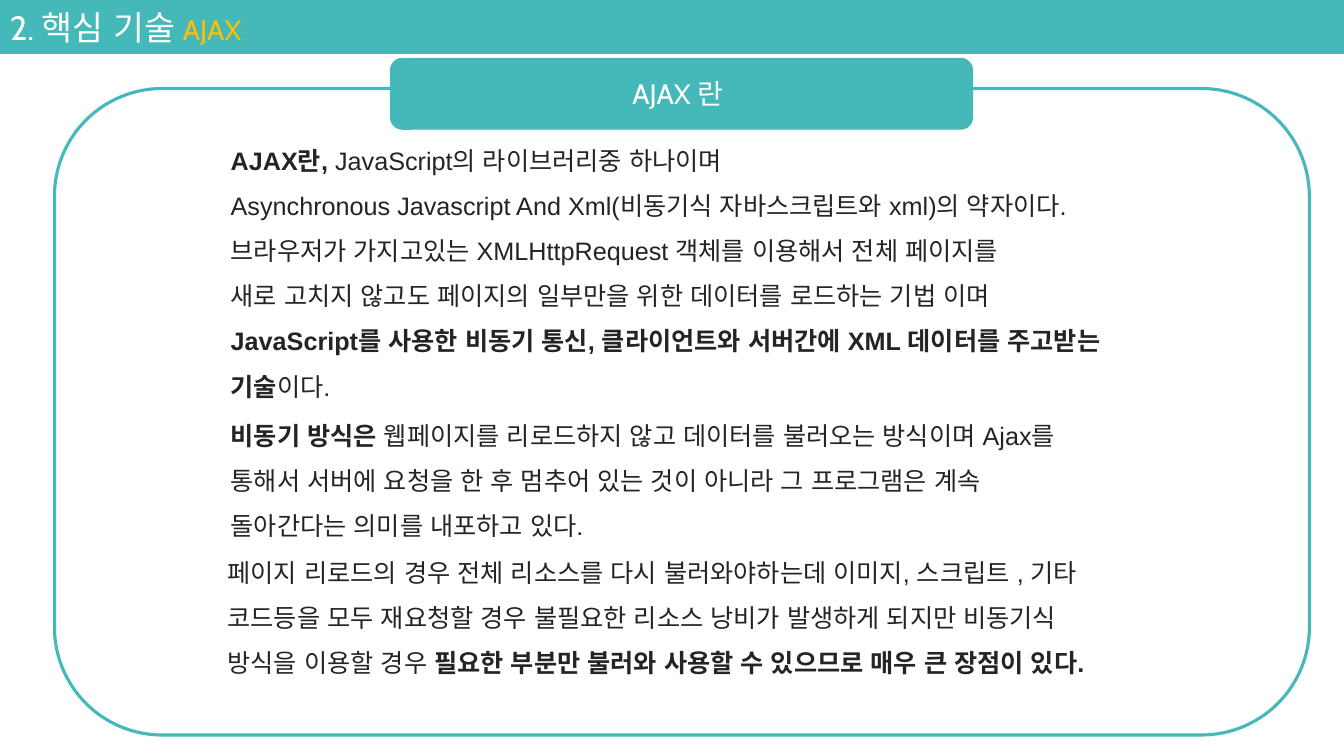
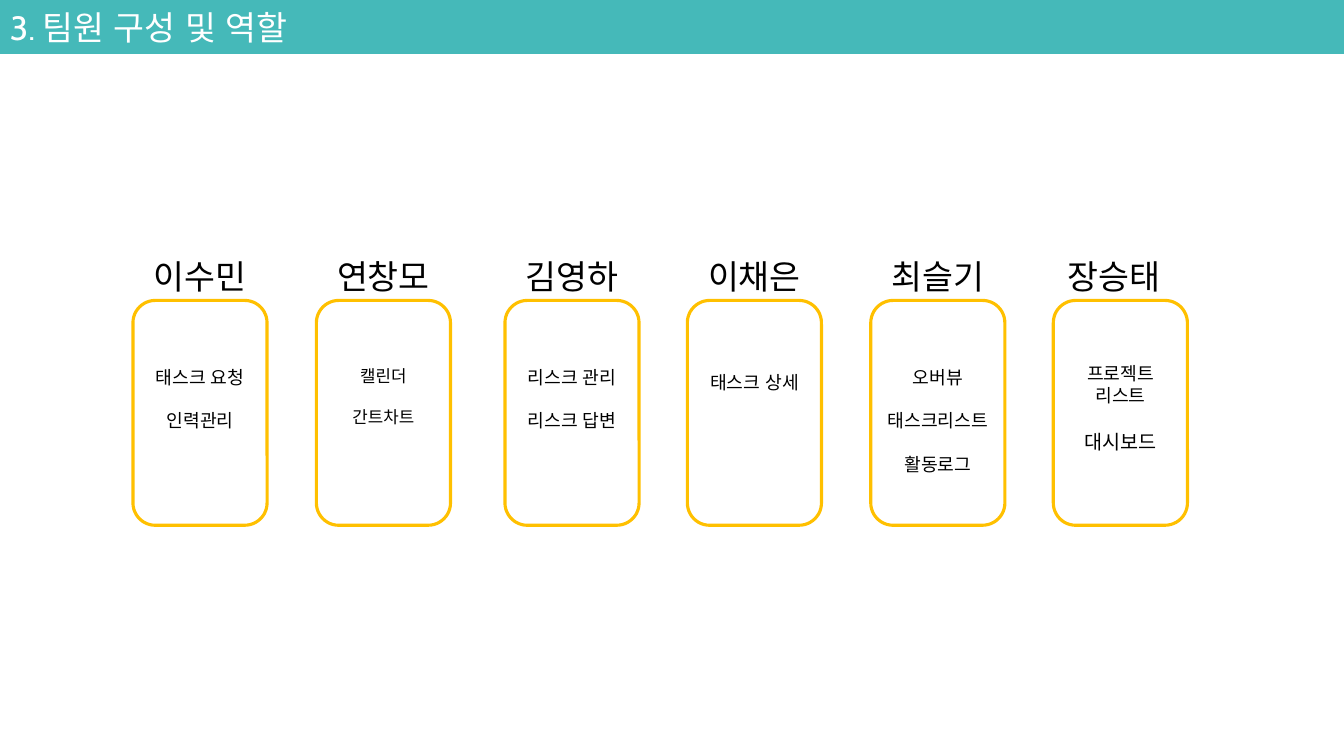
from pptx import Presentation
from pptx.dml.color import RGBColor
from pptx.enum.lang import MSO_LANGUAGE_ID as LANG
from pptx.enum.shapes import MSO_SHAPE as SHAPE
from pptx.enum.text import MSO_ANCHOR as ANCHOR, PP_ALIGN as ALIGN
from pptx.oxml.ns import qn
from pptx.util import Pt
from lxml.etree import SubElement

TEAL = RGBColor(0x45, 0xB9, 0xB9)
AMBER = RGBColor(0xFF, 0xC0, 0x00)
INK = RGBColor(0x22, 0x24, 0x26)
BLACK = RGBColor(0, 0, 0)
WHITE = RGBColor(0xFF, 0xFF, 0xFF)
LATIN, BODY, HANGUL = "Cabin", "Arial", "Noto Sans CJK KR"

AJAX_TITLE = [("2. 핵심 기술", 24, LATIN, WHITE), (" AJAX", 20, LATIN, AMBER)]
TEAM_TITLE = [("3. ", 24, LATIN, WHITE), ("팀원 구성 및 역할", 24, HANGUL, WHITE)]
AJAX_HEADING = "AJAX 란 "
AJAX_BLOCKS = [
    ((157.7, 89.3, 649.4, 200), [
        [("AJAX란, ", True), ("JavaScript의 라이브러리중 하나이며", False)],
        [("Asynchronous Javascript And Xml(비동기식 자바스크립트와 xml)의 약자이다.", False)],
        [("브라우저가 가지고있는 XMLHttpRequest 객체를 이용해서 전체 페이지를", False)],
        [("새로 고치지 않고도 페이지의 일부만을 위한 데이터를 로드하는 기법 이며", False)],
        [("JavaScript를 사용한 비동기 통신, 클라이언트와 서버간에 XML 데이터를 주고받는 기술", True),
         ("이다.", False)],
    ]),
    ((157.7, 285.8, 622, 101.5), [
        [("비동기 방식은 ", True),
         ("웹페이지를 리로드하지 않고 데이터를 불러오는 방식이며 Ajax를 통해서 서버에 요청을 한 후 "
          "멈추어 있는 것이 아니라 그 프로그램은 계속 돌아간다는 의미를 내포하고 있다.", False)],
    ]),
    ((155.5, 383.8, 649.4, 134.6), [
        [("페이지 리로드의 경우 전체 리소스를 다시 불러와야하는데 이미지, 스크립트 , 기타 코드등을 모두 "
          "재요청할 경우 불필요한 리소스 낭비가 발생하게 되지만 비동기식 방식을 이용할 경우 ", False),
         ("필요한 부분만 불러와 사용할 수 있으므로 매우 큰 장점이 있다.", True)],
    ]),
]
TEAM = [
    ("이수민", 95, 4.3, 257.8, [("태스크 요청", 13), ("인력관리", 13)]),
    ("연창모", 226, 4.3, 257.8, [("캘린더", 12), ("간트차트", 12)]),
    ("김영하", 360.7, 4.3, 257.8, [("리스크 관리", 13), ("리스크 답변", 13)]),
    ("이채은", 491, 4.3, 262, [("태스크 상세", 13)]),
    ("최슬기", 622, 4.3, 257.8, [("오버뷰", 13), ("태스크리스트", 13), ("활동로그", 13)]),
    ("장승태", 752.4, 0, 255.6, [("프로젝트 리스트", 13), ("대시보드", 14)]),
]
CARD_TOP, CARD_W, CARD_H = 214.6, 95.8, 160.6
LABEL_W, LABEL_INSET = 87.1, 4.3


def add_box(s, kind, box, fill, line, weight):
    sp = s.shapes.add_shape(kind, *map(Pt, box))
    sp.shadow.inherit = False
    if fill is None:
        sp.fill.background()
    else:
        sp.fill.solid()
        sp.fill.fore_color.rgb = fill
    sp.line.color.rgb = line
    sp.line.width = Pt(weight)
    return sp


def write(p, runs, spacing, align=ALIGN.LEFT):
    p.alignment = align
    p.line_spacing = Pt(spacing)
    for text, size, font, color, *bold in runs:
        r = p.add_run()
        r.text = text
        r.font.size = Pt(size)
        r.font.bold = any(bold)
        r.font.color.rgb = color
        r.font.language_id = LANG.KOREAN
        r.font.name = font
        SubElement(r.font._element, qn("a:ea"), typeface=HANGUL)


def add_text(s, box):
    tf = s.shapes.add_textbox(*map(Pt, box)).text_frame
    tf.word_wrap = True
    return tf


def next_paragraph(tf, index):
    return tf.add_paragraph() if index else tf.paragraphs[0]


def add_titled_slide(prs, title):
    s = prs.slides.add_slide(prs.slide_layouts[6])
    add_box(s, SHAPE.RECTANGLE, (0, 0, 960, 38.2), TEAL, TEAL, 1)
    write(add_text(s, (0, 0, 280, 36)).paragraphs[0], title, 30)
    return s


def add_ajax_slide(prs):
    s = add_titled_slide(prs, AJAX_TITLE)
    add_box(s, SHAPE.ROUNDED_RECTANGLE, (38.9, 63.2, 896.4, 461.8), WHITE, TEAL, 2.25)
    heading = add_box(s, SHAPE.ROUNDED_RECTANGLE, (279, 41.8, 415.6, 50.4), TEAL, TEAL, 1)
    tf = heading.text_frame
    tf.vertical_anchor = ANCHOR.MIDDLE
    write(tf.paragraphs[0], [(AJAX_HEADING, 20, LATIN, WHITE)], 24, ALIGN.CENTER)
    for box, paragraphs in AJAX_BLOCKS:
        tf = add_text(s, box)
        for i, parts in enumerate(paragraphs):
            runs = [(text, 18, BODY, INK, bold) for text, bold in parts]
            write(next_paragraph(tf, i), runs, 32.3)


def add_team_slide(prs):
    s = add_titled_slide(prs, TEAM_TITLE)
    for name, left, name_inset, task_top, tasks in TEAM:
        add_box(s, SHAPE.ROUNDED_RECTANGLE, (left, CARD_TOP, CARD_W, CARD_H), None, AMBER, 2.25)
        tf = add_text(s, (left + name_inset, 177.8, LABEL_W, 36))
        write(tf.paragraphs[0], [(name, 24, HANGUL, BLACK)], 30, ALIGN.CENTER)
        tf = add_text(s, (left + LABEL_INSET, task_top, LABEL_W, 30 * len(tasks)))
        for i, (task, size) in enumerate(tasks):
            p = next_paragraph(tf, i)
            write(p, [(task, size, HANGUL, BLACK)], size * 1.2, ALIGN.CENTER)
            if i:
                p.space_before = Pt(size * 1.2)


def main():
    """Build the AJAX slide and the team slide."""
    prs = Presentation()
    prs.slide_width, prs.slide_height = Pt(960), Pt(540)
    add_ajax_slide(prs)
    add_team_slide(prs)
    prs.save("out.pptx")


if __name__ == "__main__":
    main()
